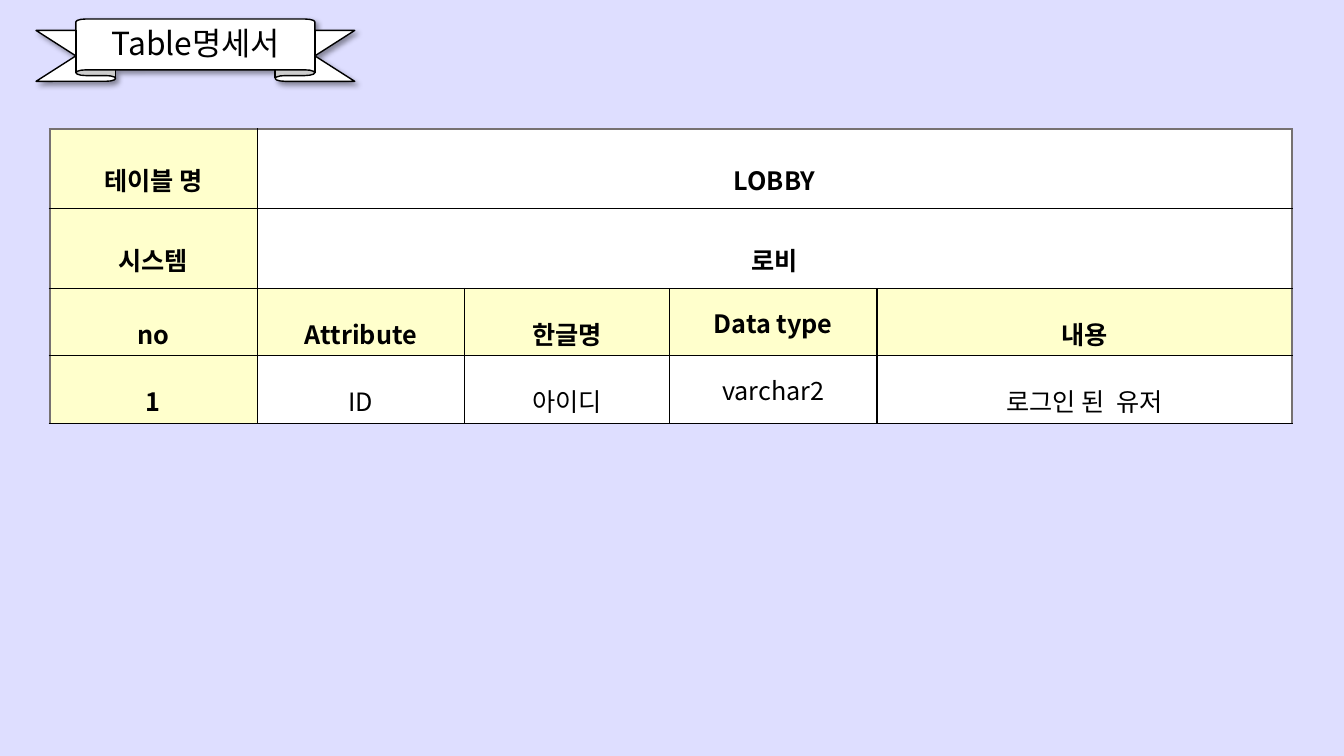
from pptx import Presentation
from pptx.dml.color import RGBColor as RGB
from pptx.enum.shapes import MSO_SHAPE as SHAPE
from pptx.enum.text import MSO_ANCHOR as ANCHOR, MSO_AUTO_SIZE as AUTO, PP_ALIGN as ALIGN
from pptx.oxml import parse_xml
from pptx.oxml.ns import nsdecls, qn
from pptx.util import Cm, Pt
from lxml.etree import SubElement

COLORS = {
    "back": "DEDEFF",
    "white": "FFFFFF",
    "head": "FFFFCC",
    "ink": "000000",
    "frame": "767171",
}
FONT = "Noto Sans CJK KR"
COLS = [5.23, 5.23, 5.16, 5.23, 10.46]
ROWS = [2.01, 2.01, 1.7, 1.7]
CELLS = [
    ["테이블 명", "LOBBY"],
    ["시스템", "로비"],
    ["no", "Attribute", "한글명", "Data type", "내용"],
    ["1", "ID", "아이디", "varchar2", "로그인 된  유저"],
]
TYPE_COL = 3


def color(name):
    return RGB.from_string(COLORS[name])


def write(tf, text, size=18, bold=False, spacing=None):
    p = tf.paragraphs[0]
    p.alignment = ALIGN.CENTER
    if spacing:
        p.line_spacing = spacing
    r = p.add_run()
    r.text = text
    r.font.size = Pt(size)
    r.font.bold = bold
    r.font.color.rgb = color("ink")
    r.font.name = FONT
    SubElement(r.font._element, qn("a:ea")).set("typeface", FONT)


class Deck:
    def __init__(self):
        self.prs = Presentation()
        self.prs.slide_width = Cm(33.87)
        self.prs.slide_height = Cm(19.05)
        self.s = self.prs.slides.add_slide(self.prs.slide_layouts[5])
        fill = self.s.background.fill
        fill.solid()
        fill.fore_color.rgb = color("back")

    def ribbon(self, x, y, w, h):
        sp = self.s.shapes.add_shape(SHAPE.UP_RIBBON, Cm(x), Cm(y), Cm(w), Cm(h))
        sp.adjustments[0] = 0.184
        sp.adjustments[1] = 0.75
        sp.fill.solid()
        sp.fill.fore_color.rgb = color("white")
        sp.line.color.rgb = color("ink")
        sp.line.width = Pt(1)
        sp._element.spPr.append(parse_xml(
            f'<a:effectLst {nsdecls("a")}><a:outerShdw blurRad="{Pt(4)}" dist="{Pt(3)}" '
            f'dir="2700000" algn="tl" rotWithShape="0"><a:srgbClr val="{COLORS["ink"]}">'
            '<a:alpha val="40000"/></a:srgbClr></a:outerShdw></a:effectLst>'))

    def title(self, text, x, y, w, h):
        sp = self.s.shapes.title
        sp.left, sp.top, sp.width, sp.height = Cm(x), Cm(y), Cm(w), Cm(h)
        tf = sp.text_frame
        tf.word_wrap = True
        tf.auto_size = AUTO.SHAPE_TO_FIT_TEXT
        tf.vertical_anchor = ANCHOR.TOP
        tf.margin_left = tf.margin_right = Cm(0.33)
        tf.margin_top = tf.margin_bottom = Cm(0.18)
        write(tf, text, size=22.7)
        self.s.shapes._spTree.append(sp._element)

    def border(self, cell, side, outer):
        name, width = ("frame", 1.5) if outer else ("ink", 1)
        cell._tc.get_or_add_tcPr().append(parse_xml(
            f'<a:ln{side} {nsdecls("a")} w="{Pt(width)}"><a:solidFill>'
            f'<a:srgbClr val="{COLORS[name]}"/></a:solidFill></a:ln{side}>'))

    def cell(self, cell, row, col, end):
        self.border(cell, "L", col == 0)
        self.border(cell, "R", end == len(COLS))
        self.border(cell, "T", row == 0)
        self.border(cell, "B", False)
        cell.fill.solid()
        cell.fill.fore_color.rgb = color("head" if col == 0 or row == 2 else "white")
        cell.vertical_anchor = ANCHOR.MIDDLE
        is_type = row > 1 and col == TYPE_COL
        cell.margin_left = cell.margin_right = Cm(0.25)
        cell.margin_top = cell.margin_bottom = Cm(0.13 if is_type else 0.08)
        if col < len(CELLS[row]):
            write(cell.text_frame, CELLS[row][col], bold=row < 3 or col == 0,
                  spacing=None if is_type else 1.6)

    def table(self, x, y):
        tb = self.s.shapes.add_table(len(ROWS), len(COLS), Cm(x), Cm(y),
                                     Cm(sum(COLS)), Cm(sum(ROWS))).table
        tb.first_row = tb.horz_banding = False
        for column, width in zip(tb.columns, COLS):
            column.width = Cm(width)
        for row, height in enumerate(ROWS):
            tb.rows[row].height = Cm(height)
            merged = len(CELLS[row]) < len(COLS)
            if merged:
                tb.cell(row, 1).merge(tb.cell(row, len(COLS) - 1))
            for col in range(len(COLS)):
                end = len(COLS) if merged and col else col + 1
                self.cell(tb.cell(row, col), row, col, end)


def main():
    deck = Deck()
    deck.ribbon(0.91, 0.48, 8.03, 1.57)
    deck.title("Table명세서", 2.26, 0.43, 5.36, 1.32)
    deck.table(1.25, 3.25)
    deck.prs.save("out.pptx")


if __name__ == "__main__":
    main()
